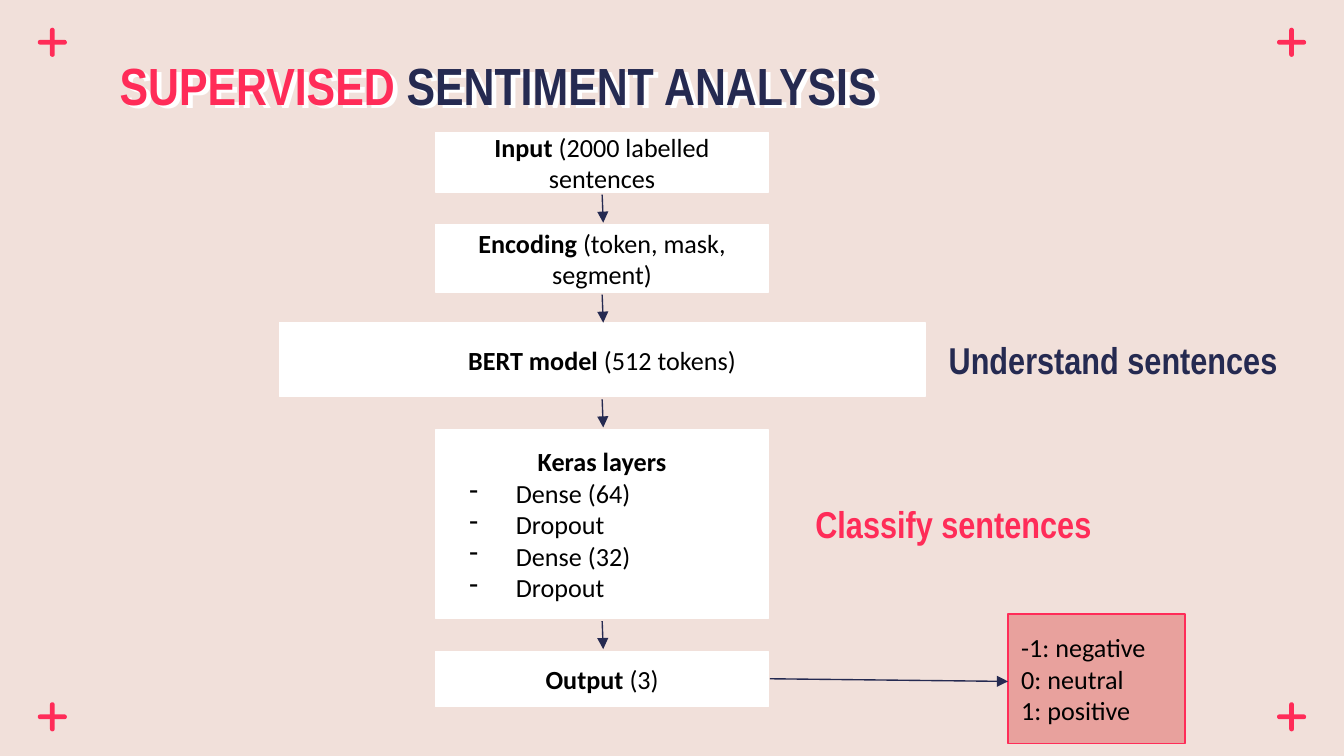
from dataclasses import dataclass

from lxml.etree import SubElement
from pptx import Presentation
from pptx.dml.color import RGBColor
from pptx.enum.shapes import MSO_CONNECTOR as Connector, MSO_SHAPE as Shape
from pptx.enum.text import MSO_ANCHOR as Anchor, MSO_AUTO_SIZE as AutoSize, PP_ALIGN as Align
from pptx.oxml.ns import qn
from pptx.util import Cm, Pt


@dataclass(frozen=True)
class Theme:
    background: str = "F1E0DA"
    accent: str = "FF2C58"
    navy: str = "252A51"
    white: str = "FFFFFF"
    black: str = "000000"
    rose: str = "E8A19D"
    heading_font: str = "Arial Narrow"
    body_font: str = "Calibri"
    title_size: int = 28
    label_size: int = 20
    body_size: int = 14
    line_width: float = 0.75
    inset: float = 0.25


class SlideBuilder:
    def __init__(self, slide, theme):
        self.slide, self.theme = slide, theme
        fill = slide.background.fill
        fill.solid()
        fill.fore_color.rgb = RGBColor.from_string(theme.background)

    def style_font(self, font, name, size, color, bold=None):
        font.name, font.size, font.bold = name, Pt(size), bold
        font.color.rgb = RGBColor.from_string(color)

    def prepare_frame(self, frame, anchor):
        frame.word_wrap = True
        frame.vertical_anchor = anchor
        frame.margin_left = frame.margin_right = Cm(self.theme.inset)
        frame.margin_top = frame.margin_bottom = Cm(self.theme.inset)

    def title(self, spans, left, top, width, height):
        theme, title = self.theme, self.slide.shapes.title
        title.left, title.top, title.width, title.height = map(Cm, (left, top, width, height))
        frame = title.text_frame
        self.prepare_frame(frame, Anchor.MIDDLE)
        frame.auto_size = AutoSize.NONE
        para = frame.paragraphs[0]
        para.alignment = Align.LEFT
        for text, color in spans:
            span = para.add_run()
            span.text = text
            self.style_font(span.font, theme.heading_font, theme.title_size, color, True)
        # Hard white shadow behind the letters
        effects = SubElement(title.element.spPr, qn("a:effectLst"))
        shadow = SubElement(effects, qn("a:outerShdw"), dist="38100", dir="1800000",
                            algn="bl", rotWithShape="0")
        SubElement(shadow, qn("a:srgbClr"), val=theme.white)

    def shape(self, kind, left, top, width, height, fill, line=None):
        shape = self.slide.shapes.add_shape(kind, *map(Cm, (left, top, width, height)))
        shape.shadow.inherit = False
        shape.fill.solid()
        shape.fill.fore_color.rgb = RGBColor.from_string(fill)
        if line:
            shape.line.color.rgb = RGBColor.from_string(line)
            shape.line.width = Pt(self.theme.line_width)
        else:
            shape.line.fill.background()
        return shape

    def box(self, paragraphs, left, top, width, height, fill, line, align=Align.CENTER, bullets=()):
        """Each paragraph is a (bold text, plain text) pair."""
        theme = self.theme
        frame = self.shape(Shape.RECTANGLE, left, top, width, height, fill, line).text_frame
        self.prepare_frame(frame, Anchor.MIDDLE)
        lines = [*paragraphs, *(("", item) for item in bullets)]
        for index, (strong, plain) in enumerate(lines):
            para = frame.paragraphs[0] if index == 0 else frame.add_paragraph()
            para.alignment = align
            self.style_font(para.font, theme.body_font, theme.body_size, theme.black)
            for text, bold in ((strong, True), (plain, False)):
                if text:
                    span = para.add_run()
                    span.text, span.font.bold = text, bold
            if index >= len(paragraphs):
                self.dash(para)

    def dash(self, para):
        para.alignment = Align.LEFT
        properties = para._p.get_or_add_pPr()
        properties.set("marL", str(Cm(1.27)))
        properties.set("indent", str(-Cm(0.88)))
        color = SubElement(properties, qn("a:buClr"))
        SubElement(color, qn("a:srgbClr"), val=self.theme.black)
        SubElement(properties, qn("a:buChar"), char="-")
        # Paragraph defaults follow the bullet in the schema
        properties.append(properties.find(qn("a:defRPr")))

    def label(self, text, color, left, top, width=7.09, height=1.37):
        frame = self.slide.shapes.add_textbox(*map(Cm, (left, top, width, height))).text_frame
        self.prepare_frame(frame, Anchor.TOP)
        frame.auto_size = AutoSize.SHAPE_TO_FIT_TEXT
        para = frame.paragraphs[0]
        para.text = text
        self.style_font(para.font, self.theme.heading_font, self.theme.label_size, color, True)

    def arrow(self, *ends):
        arrow = self.slide.shapes.add_connector(Connector.STRAIGHT, *map(Cm, ends))
        arrow.line.color.rgb = RGBColor.from_string(self.theme.navy)
        arrow.line.width = Pt(self.theme.line_width)
        SubElement(arrow.line._get_or_add_ln(), qn("a:tailEnd"), type="triangle")
        SubElement(arrow._element.spPr, qn("a:effectLst"))

    def plus(self, center_x, center_y, length=0.55, thickness=0.09):
        for width, height in ((length, thickness), (thickness, length)):
            bar = self.shape(Shape.ROUNDED_RECTANGLE, center_x - width / 2,
                             center_y - height / 2, width, height, self.theme.accent)
            bar.adjustments[0] = 0.5


def main():
    theme = Theme()
    deck = Presentation()
    deck.slide_width, deck.slide_height = Cm(25.4), Cm(14.29)
    builder = SlideBuilder(deck.slides.add_slide(deck.slide_layouts[5]), theme)

    # Corner marks
    for y in (0.8, 13.55):
        for x in (0.99, 24.41):
            builder.plus(x, y)

    builder.title([("SUPERVISED ", theme.accent), ("SENTIMENT ANALYSIS", theme.navy)],
                  2.01, 0.81, 21.41, 1.57)

    # Pipeline: bold text, plain text, top, width, height, bullets
    center = 11.38
    steps = [
        ("Input ", "(2000 labelled sentences", 2.51, 6.3, 1.12, ()),
        ("Encoding ", "(token, mask, segment)", 4.25, 6.3, 1.27, ()),
        ("BERT model", " (512 tokens)", 6.1, 12.2, 1.4, ()),
        ("Keras layers", "", 8.13, 6.3, 3.56, ("Dense (64)", "Dropout", "Dense (32)", "Dropout")),
        ("Output ", "(3)", 12.32, 6.3, 1.04, ()),
    ]
    for strong, plain, top, width, height, bullets in steps:
        builder.box([(strong, plain)], center - width / 2, top, width, height,
                    theme.white, theme.white, bullets=bullets)

    # Output classes
    classes = ("-1: negative", "0: neutral", "1: positive")
    builder.box([("", name) for name in classes], 19.05, 11.61, 3.35, 2.44,
                theme.rose, theme.accent, Align.LEFT)

    # Arrows between steps, then to the classes
    for _, _, top, _, height, _ in steps[:-1]:
        start = top + height + 0.05
        builder.arrow(center, start, center + 0.02, start + 0.53)
    builder.arrow(14.55, 12.83, 19.05, 12.88)

    # Stage labels
    builder.label("Understand sentences", theme.navy, 17.68, 6.12)
    builder.label("Classify sentences", theme.accent, 15.16, 9.22)

    deck.save("out.pptx")


if __name__ == "__main__":
    main()
